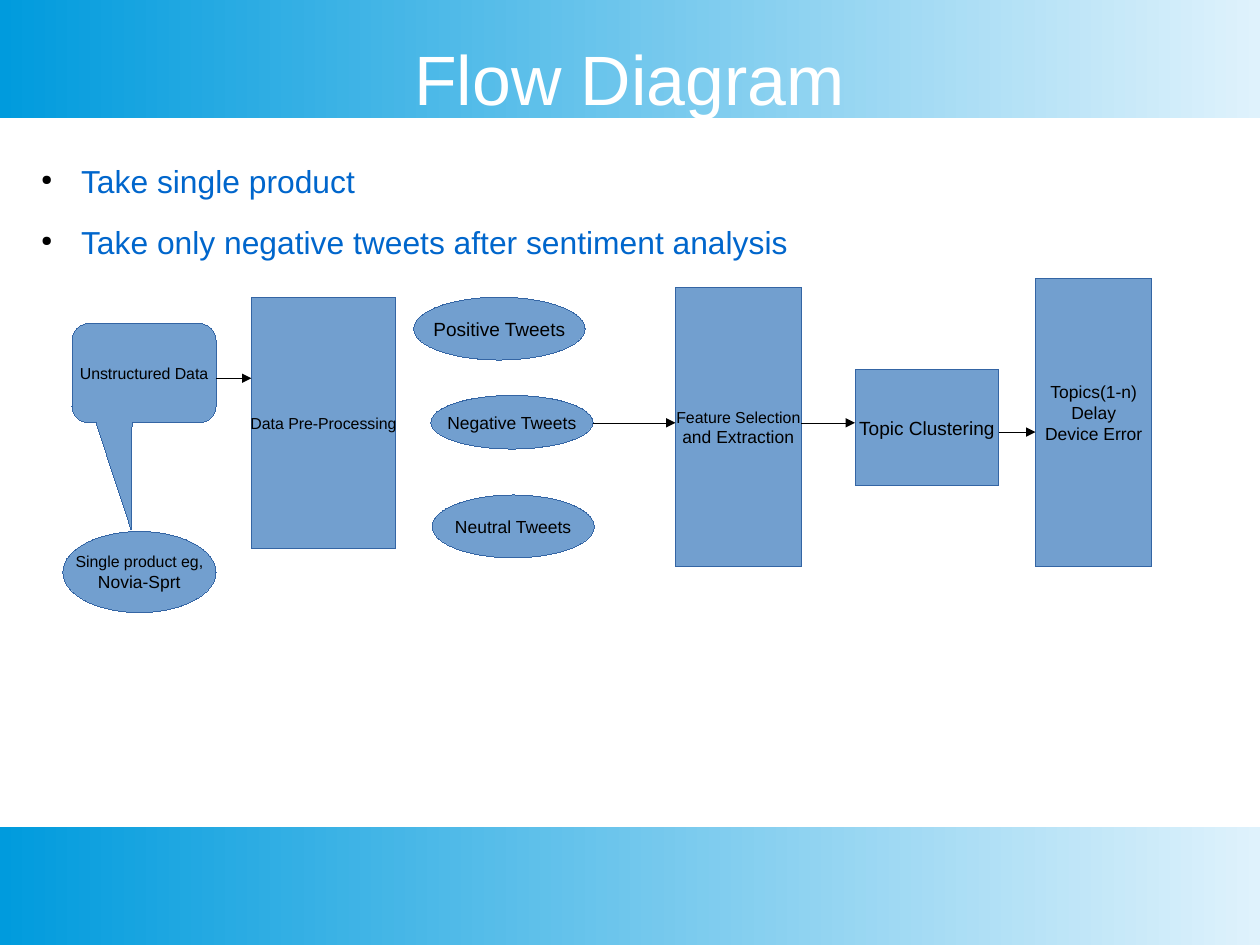
from dataclasses import dataclass
from lxml import etree
from pptx import Presentation
from pptx.dml.color import RGBColor
from pptx.enum.shapes import MSO_CONNECTOR, MSO_SHAPE
from pptx.enum.text import MSO_ANCHOR, MSO_AUTO_SIZE, PP_ALIGN
from pptx.oxml.ns import qn
from pptx.util import Pt

RECT, OVAL = MSO_SHAPE.RECTANGLE, MSO_SHAPE.OVAL
CALLOUT = MSO_SHAPE.ROUNDED_RECTANGULAR_CALLOUT
STRAIGHT = MSO_CONNECTOR.STRAIGHT
MIDDLE, TOP = MSO_ANCHOR.MIDDLE, MSO_ANCHOR.TOP
CENTER, LEFT = PP_ALIGN.CENTER, PP_ALIGN.LEFT


@dataclass(frozen=True)
class Theme:
    font: str = "Arial"
    title: str = "FFFFFF"
    bullet: str = "0066CC"
    ink: str = "000000"
    node: str = "729FCF"
    edge: str = "3465A4"
    band_light: str = "DFF2FC"
    band_dark: str = "009BDD"
    title_size: int = 44
    bullet_size: int = 20
    small: int = 10
    medium: int = 11
    large: int = 12


T = Theme()
W, H, BAND_H = 793.7, 595.3, 74.2
INSET = (7.2, 3.6, 7.2, 3.6)

TITLE = "Flow Diagram"
BULLETS = ["Take single product", "Take only negative tweets after sentiment analysis"]

NODES = {
    "unstructured": (CALLOUT, (45.4, 203.8, 90.7, 62.4), [("Unstructured Data", T.small)]),
    "preprocessing": (RECT, (158.4, 187.2, 90.7, 158.4), [("Data Pre-Processing", T.small)]),
    "negative": (OVAL, (271.4, 249.1, 102.2, 33.8), [("Negative Tweets", T.medium)]),
    "positive": (OVAL, (260.6, 187.2, 108, 39.6), [("Positive Tweets", T.large)]),
    "neutral": (OVAL, (272.2, 311.8, 102.2, 39.6), [("Neutral Tweets", T.medium)]),
    "features": (RECT, (425.5, 181.4, 79.2, 175.7),
                 [("Feature Selection", T.small), ("and Extraction", T.medium)]),
    "clustering": (RECT, (538.6, 232.6, 90.7, 73.4), [("Topic Clustering", T.large)]),
    "topics": (RECT, (652.3, 175.7, 73.4, 181.4),
               [("Topics(1-n)", T.medium), ("Delay", T.medium), ("Device Error", T.medium)]),
    "product": (OVAL, (39.6, 334.8, 96.5, 51.1),
                [("Single product eg,", T.small), ("Novia-Sprt", T.medium)]),
}
CALLOUT_ADJ = (-0.089, 1.583, 0.167)
TOPICS_INSET = (7.2, 3.6, 7.2, 16.2)

ARROWS = [
    ("unstructured", "preprocessing", 238.3),
    ("negative", "features", 266.4),
    ("features", "clustering", 266.4),
    ("clustering", "topics", 272.2),
]


def rgb(color):
    return RGBColor.from_string(color)


def pts(values):
    return [Pt(v) for v in values]


def add_text(tf, text, size, color=T.ink, align=CENTER, first=False):
    p = tf.paragraphs[0] if first else tf.add_paragraph()
    p.alignment = align
    r = p.add_run()
    r.text = text
    r.font.name, r.font.size = T.font, Pt(size)
    r.font.color.rgb = rgb(color)
    return p


def set_frame(tf, inset=INSET, anchor=MIDDLE, wrap=True):
    tf.margin_left, tf.margin_top, tf.margin_right, tf.margin_bottom = pts(inset)
    tf.vertical_anchor, tf.word_wrap = anchor, wrap
    tf.auto_size = MSO_AUTO_SIZE.NONE


def drop_style(sp):
    sp._element.remove(sp._element.find(qn("p:style")))


def add_bullet(p):
    pPr = p._p.get_or_add_pPr()
    pPr.set("marL", str(Pt(33.8)))
    pPr.set("indent", str(Pt(-25.2)))
    clr = etree.SubElement(pPr, qn("a:buClr"))
    etree.SubElement(clr, qn("a:srgbClr"), val=T.ink)
    etree.SubElement(pPr, qn("a:buSzPct"), val="45000")
    etree.SubElement(pPr, qn("a:buChar"), char="●")


def add_band(s, top):
    sp = s.shapes.add_shape(RECT, *pts((0, top, W, BAND_H)))
    sp.shadow.inherit = False
    sp.fill.gradient()
    sp.fill.gradient_angle = 180
    for stop, color in zip(sp.fill.gradient_stops, (T.band_light, T.band_dark)):
        stop.color.rgb = rgb(color)
    sp.line.fill.background()


def add_node(s, name):
    kind, box, lines = NODES[name]
    sp = s.shapes.add_shape(kind, *pts(box))
    drop_style(sp)
    sp.shadow.inherit = False
    sp.fill.solid()
    sp.fill.fore_color.rgb = rgb(T.node)
    sp.line.color.rgb = rgb(T.edge)
    if kind == CALLOUT:
        for i, value in enumerate(CALLOUT_ADJ):
            sp.adjustments[i] = value
    set_frame(sp.text_frame, TOPICS_INSET if name == "topics" else INSET, wrap=False)
    for i, (text, size) in enumerate(lines):
        add_text(sp.text_frame, text, size, first=i == 0)


def add_arrow(s, start, end, y):
    left, _, width, _ = NODES[start][1]
    c = s.shapes.add_connector(STRAIGHT, *pts((left + width, y, NODES[end][1][0], y)))
    drop_style(c)
    c.line.color.rgb = rgb(T.ink)
    etree.SubElement(c.line._get_or_add_ln(), qn("a:tailEnd"), type="triangle")
    etree.SubElement(c._element.spPr, qn("a:effectLst"))


prs = Presentation()
prs.slide_width, prs.slide_height = Pt(W), Pt(H)
s = prs.slides.add_slide(prs.slide_layouts[5])

for top in (0, H - BAND_H):
    add_band(s, top)

title = s.shapes.title
s.shapes._spTree.append(title._element)
title.left, title.top, title.width, title.height = pts((39.6, 23.8, 714.2, 50.4))
set_frame(title.text_frame, (0, 0, 0, 0))
add_text(title.text_frame, TITLE, T.title_size, T.title, first=True)

body = s.shapes.add_textbox(*pts((17.3, 102.2, 748.1, 402.5)))
set_frame(body.text_frame, (0, 0, 0, 0), TOP)
for i, text in enumerate(BULLETS):
    p = add_text(body.text_frame, text, T.bullet_size, T.bullet, LEFT, first=i == 0)
    p.space_before = Pt(14.2)
    add_bullet(p)

for name in NODES:
    add_node(s, name)
for arrow in ARROWS:
    add_arrow(s, *arrow)

prs.save("out.pptx")
